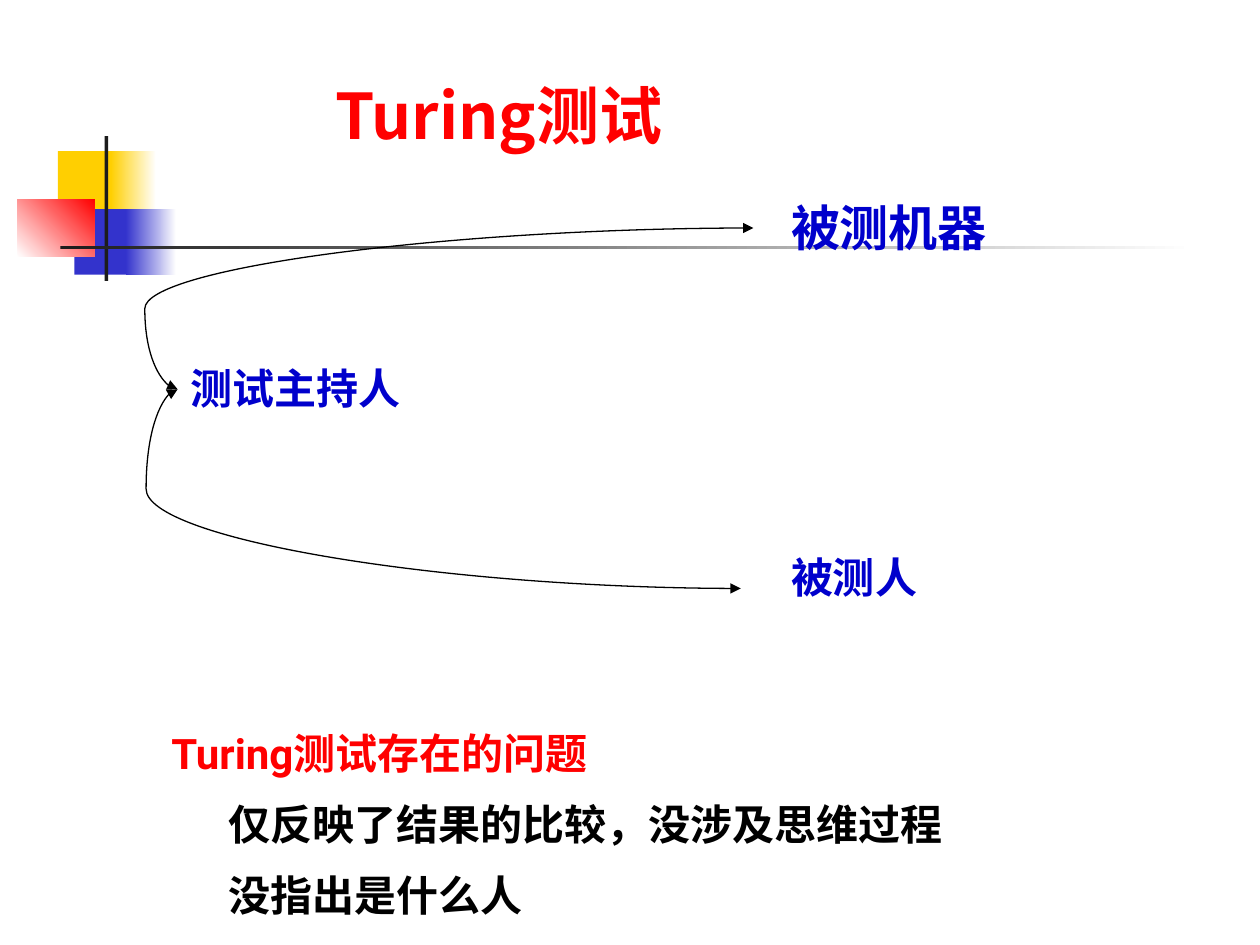
from lxml import etree
from pptx import Presentation
from pptx.dml.color import RGBColor
from pptx.enum.shapes import MSO_CONNECTOR, MSO_SHAPE
from pptx.enum.text import MSO_ANCHOR, MSO_AUTO_SIZE, PP_ALIGN
from pptx.oxml.ns import qn
from pptx.util import Inches, Pt

CURVE = MSO_CONNECTOR.CURVE
RECT = MSO_SHAPE.RECTANGLE
TOP = MSO_ANCHOR.TOP
FIXED = MSO_AUTO_SIZE.NONE
LEFT = PP_ALIGN.LEFT

WIDE, HIGH = Inches(10), Inches(7.5)
COLS, ROWS = 100, 75
RED, BLUE, BLACK, WHITE = "FF0000", "0000CC", "000000", "FFFFFF"
GOLD, NAVY, DARK = "FFCF01", "3333CC", "1C1C1C"


def paint(code):
    """Turn a hex string into a colour."""
    return RGBColor.from_string(code)


def col(num):
    """Turn grid columns into a length."""
    return round(WIDE * num / COLS)


def row(num):
    """Turn grid rows into a length."""
    return round(HIGH * num / ROWS)


def place(box):
    """Turn a grid box into left, top, width and height."""
    x, y, w, h = box
    return col(x), row(y), col(w), row(h)


def style(item, **values):
    """Set attributes from format values."""
    for name, value in values.items():
        setattr(item, name, value)


def write(frame, lines, size, face):
    """Fill a text frame with lines of text, colour and indent."""
    style(frame, word_wrap=True, auto_size=FIXED, vertical_anchor=TOP)
    for num, (text, code, indent) in enumerate(lines):
        para = frame.paragraphs[0] if num == 0 else frame.add_paragraph()
        props = para._p.get_or_add_pPr()
        props.set("marL", str(col(indent)))
        props.set("indent", "0")
        etree.SubElement(props, qn("a:buNone"))
        style(para, alignment=LEFT, space_before=Pt(12 if num else 0))
        run = para.add_run()
        run.text = text
        style(run.font, size=Pt(size), name=face, bold=True)
        run.font.color.rgb = paint(code)


def fill_holder(holder, box, lines, size, face):
    """Move a placeholder to a box and write its lines."""
    x, y, w, h = place(box)
    style(holder, left=x, top=y, width=w, height=h)
    write(holder.text_frame, lines, size, face)


def add_block(slide, box, first, last=None, angle=0):
    """Draw a borderless block in one colour or a blend of two."""
    block = slide.shapes.add_shape(RECT, *place(box))
    block.shadow.inherit = False
    block.line.fill.background()
    if last is None:
        block.fill.solid()
        block.fill.fore_color.rgb = paint(first)
        return
    block.fill.gradient()
    block.fill.gradient_angle = angle
    for stop, code in zip(block.fill.gradient_stops, (first, last)):
        stop.color.rgb = paint(code)


def add_motif(slide, x, y):
    """Draw the coloured squares and crossing bars from a corner."""
    parts = [
        ((3.2, 1.2, 4.8, 5.2), GOLD),
        ((7.4, 1.2, 3.6, 5.2), GOLD, WHITE),
        ((4.5, 5.8, 4.6, 5.2), NAVY),
        ((8.6, 5.8, 4, 5.2), NAVY, WHITE),
        ((0, 5, 6.1, 4.6), WHITE, RED, 45),
        ((6.9, 0, 0.3, 11.5), DARK),
        ((3.4, 8.7, 90, 0.3), DARK, WHITE),
    ]
    for (dx, dy, w, h), *tones in parts:
        add_block(slide, (x + dx, y + dy, w, h), *tones)


def add_curve(slide, start, end, bend):
    """Draw a curve with an arrowhead at each end."""
    (x, y), (u, v) = start, end
    curve = slide.shapes.add_connector(CURVE, col(x), row(y), col(u), row(v))
    props = curve._element.spPr
    guides = props.find(qn("a:prstGeom")).get_or_add_avLst()
    etree.SubElement(guides, qn("a:gd"), name="adj1", fmla=f"val {bend}")
    curve.line.width = Pt(0.75)
    curve.line.color.rgb = paint(BLACK)
    line = props.find(qn("a:ln"))
    for tag in ("a:headEnd", "a:tailEnd"):
        etree.SubElement(line, qn(tag), type="triangle")
    etree.SubElement(props, qn("a:effectLst"))


def add_label(slide, box, text, size):
    """Write a blue label in a box."""
    label = slide.shapes.add_textbox(*place(box))
    write(label.text_frame, [(text, BLUE, 0)], size, "Roboto")


def add_test(slide, box):
    """Draw the host, the two tested sides and the curves between."""
    x, y, w, h = box
    host = (x, y + 15.7)
    side = x + 47.7
    add_curve(slide, host, (x + 45.7, y + 2.9), -5700)
    add_curve(slide, host, (x + 44.7, y + 31.5), -5600)
    add_label(slide, (x, y + 13.1, 19.1, 5.1), "测试主持人", 24)
    add_label(slide, (side, y, w - 47.7, 5.7), "被测机器", 28)
    add_label(slide, (side, y + h - 5.1, 15.6, 5.1), "被测人", 24)


def main():
    """Build and save the slide."""
    deck = Presentation()
    style(deck, slide_width=WIDE, slide_height=HIGH)
    slide = deck.slides.add_slide(deck.slide_layouts[1])
    add_motif(slide, 1.4, 10.8)
    add_test(slide, (14.1, 15.2, 66.6, 33.2))
    title = [("Turing测试", RED, 0)]
    fill_holder(slide.shapes.title, (25.6, 5.6, 41.4, 7.1), title, 36,
                "Noto Sans CJK SC")
    issues = [
        ("Turing测试存在的问题", RED, 0),
        ("仅反映了结果的比较，没涉及思维过程", BLACK, 4.5),
        ("没指出是什么人", BLACK, 4.5),
    ]
    fill_holder(slide.placeholders[1], (12.6, 57.2, 65.4, 17.2), issues, 24,
                "Roboto")
    deck.save("out.pptx")


if __name__ == "__main__":
    main()
